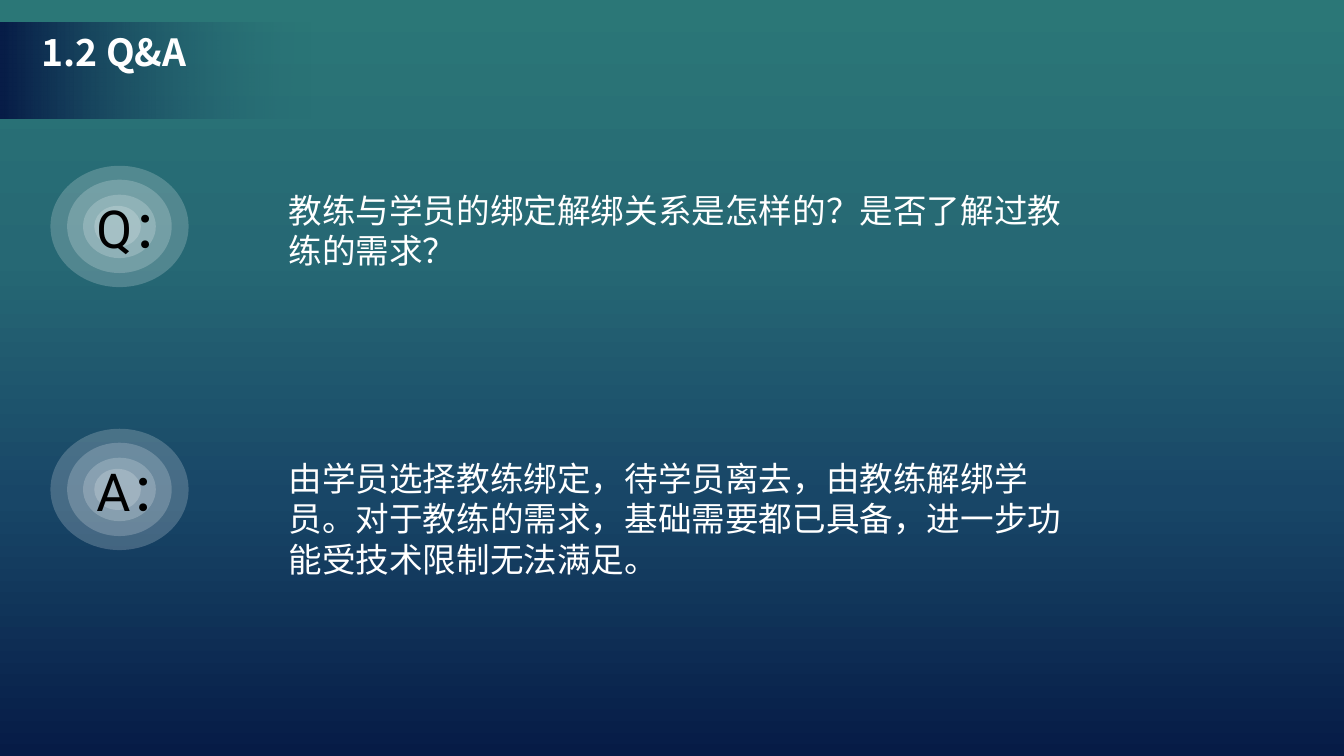
from lxml.etree import SubElement
from pptx import Presentation
from pptx.dml.color import RGBColor
from pptx.enum.shapes import MSO_SHAPE
from pptx.enum.text import MSO_ANCHOR, PP_ALIGN
from pptx.oxml.ns import qn
from pptx.util import Pt

CJK_FONT = "Noto Sans CJK SC"
# Width, height and sideways shift of each ring, from the outside in
RINGS = [(74, 65, 0), (56, 50, 0), (39, 34, 0), (25, 22, -1)]


def color(hex_string):
    return RGBColor.from_string(hex_string)


def set_alpha(color_element, percent):
    SubElement(color_element, qn("a:alpha"), val=str(percent * 1000))


def set_gradient(fill, element, stops, angle):
    """Stops are (position, colour, opacity), all but the colour in percent."""
    fill.gradient()
    fill.gradient_angle = angle
    stop_list = next(element.iter(qn("a:gsLst")))
    for old_stop in list(stop_list):
        stop_list.remove(old_stop)
    for position, hex_string, opacity in stops:
        stop = SubElement(stop_list, qn("a:gs"), pos=str(position * 1000))
        stop_color = SubElement(stop, qn("a:srgbClr"), val=hex_string)
        if opacity < 100:
            set_alpha(stop_color, opacity)


def write(shape, text, size, font, hex_string, bold=False):
    frame = shape.text_frame
    frame.text = text
    frame.vertical_anchor = MSO_ANCHOR.TOP
    paragraph = frame.paragraphs[0]
    paragraph.alignment = PP_ALIGN.LEFT
    # Keep closing punctuation inside the box
    paragraph._p.get_or_add_pPr().set("hangingPunct", "0")
    run = paragraph.runs[0]
    run.font.size = Pt(size)
    run.font.name = font
    run.font.bold = bold
    run.font.color.rgb = color(hex_string)
    SubElement(run.font._element, qn("a:ea"), typeface=font)


def add_text(slide, left, top, width, height, *text_style):
    box = slide.shapes.add_textbox(Pt(left), Pt(top), Pt(width), Pt(height))
    box.text_frame.word_wrap = True
    write(box, *text_style)


def add_header(slide, left, top, width, height):
    # Band fading out to the right
    band = slide.shapes.add_shape(
        MSO_SHAPE.RECTANGLE, Pt(left), Pt(top), Pt(width), Pt(height))
    band.shadow.inherit = False
    band.line.fill.background()
    set_gradient(band.fill, band._element,
                 [(0, "071C47", 100), (100, "266874", 0)], 0)

    # Title, brought in front of the band
    title = slide.shapes.title
    title.left, title.top = Pt(left + 15), Pt(top)
    title.width, title.height = Pt(102), Pt(32)
    write(title, "1.2 Q&A", 20, CJK_FONT, "FFFFFF", True)
    title.text_frame.word_wrap = False
    band._element.addnext(title._element)


def add_rings(slide, left, top, width, height):
    rings = slide.shapes.add_group_shape()
    for ring_width, ring_height, shift in RINGS:
        ring = rings.shapes.add_shape(
            MSO_SHAPE.OVAL,
            Pt(left + (width - ring_width) / 2 + shift),
            Pt(top + (height - ring_height) / 2),
            Pt(ring_width), Pt(ring_height))
        ring.shadow.inherit = False
        ring.line.fill.background()
        ring.fill.solid()
        ring.fill.fore_color.rgb = color("FFFFFF")
        set_alpha(next(ring._element.spPr.iter(qn("a:srgbClr"))), 20)


def add_entry(slide, left, top, letter, statement, statement_top, statement_height):
    # Letter on its rings
    add_rings(slide, left, top, 74, 65)
    add_text(slide, left + 17.6, top + 12.6, 74, 41, letter, 28, "Roboto", "000000")
    # Question or answer
    add_text(slide, left + 120.5, statement_top, 441, statement_height,
             statement, 18, CJK_FONT, "FFFFFF")


def main():
    presentation = Presentation()
    presentation.slide_width, presentation.slide_height = Pt(720), Pt(405)
    slide = presentation.slides.add_slide(presentation.slide_layouts[5])
    set_gradient(slide.background.fill, slide._element,
                 [(0, "2B7777", 100), (34, "266874", 100),
                  (66, "184667", 100), (100, "061B46", 100)], 270)

    add_header(slide, 0, 12, 167, 51.7)
    add_entry(slide, 27, 88.8, "Q：",
              "教练与学员的绑定解绑关系是怎样的？是否了解过教练的需求？", 98, 51)
    add_entry(slide, 27, 229.7, "A：",
              "由学员选择教练绑定，待学员离去，由教练解绑学员。对于教练的需求，"
              "基础需要都已具备，进一步功能受技术限制无法满足。", 241.8, 73)

    presentation.save("out.pptx")


if __name__ == "__main__":
    main()
